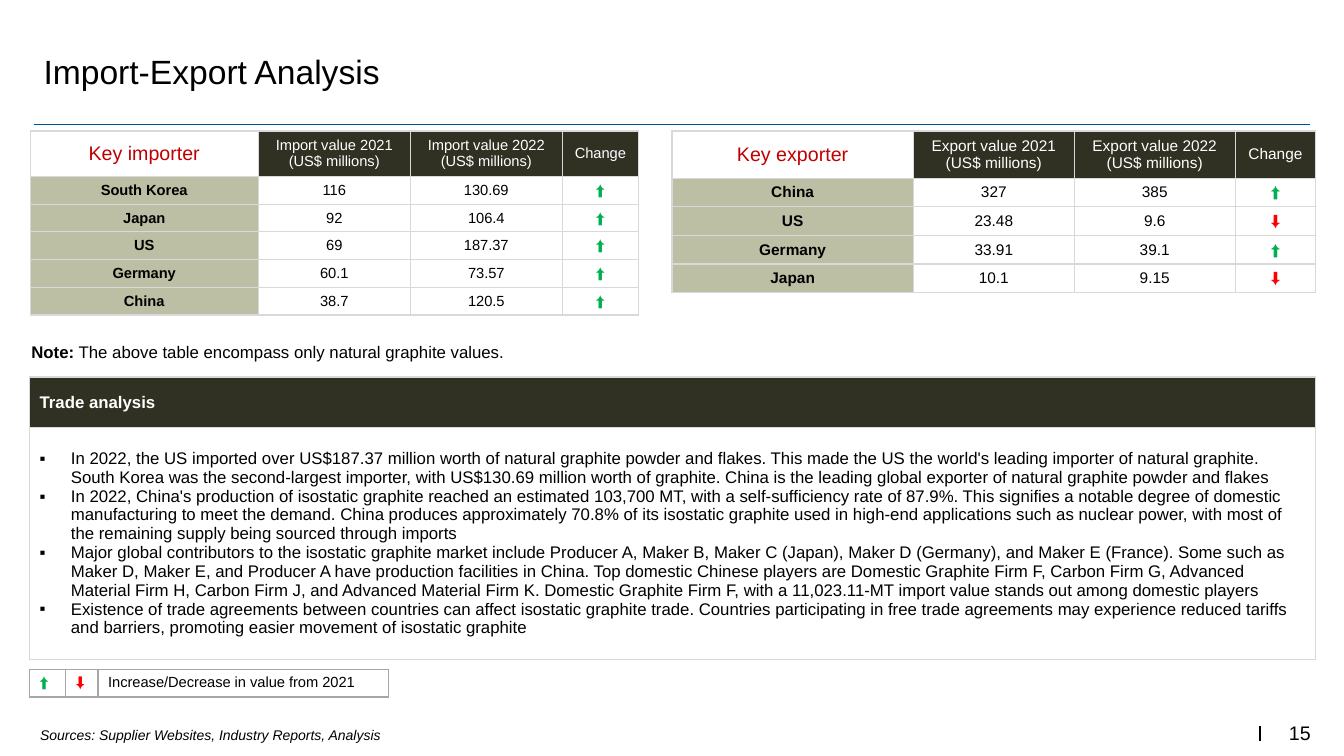
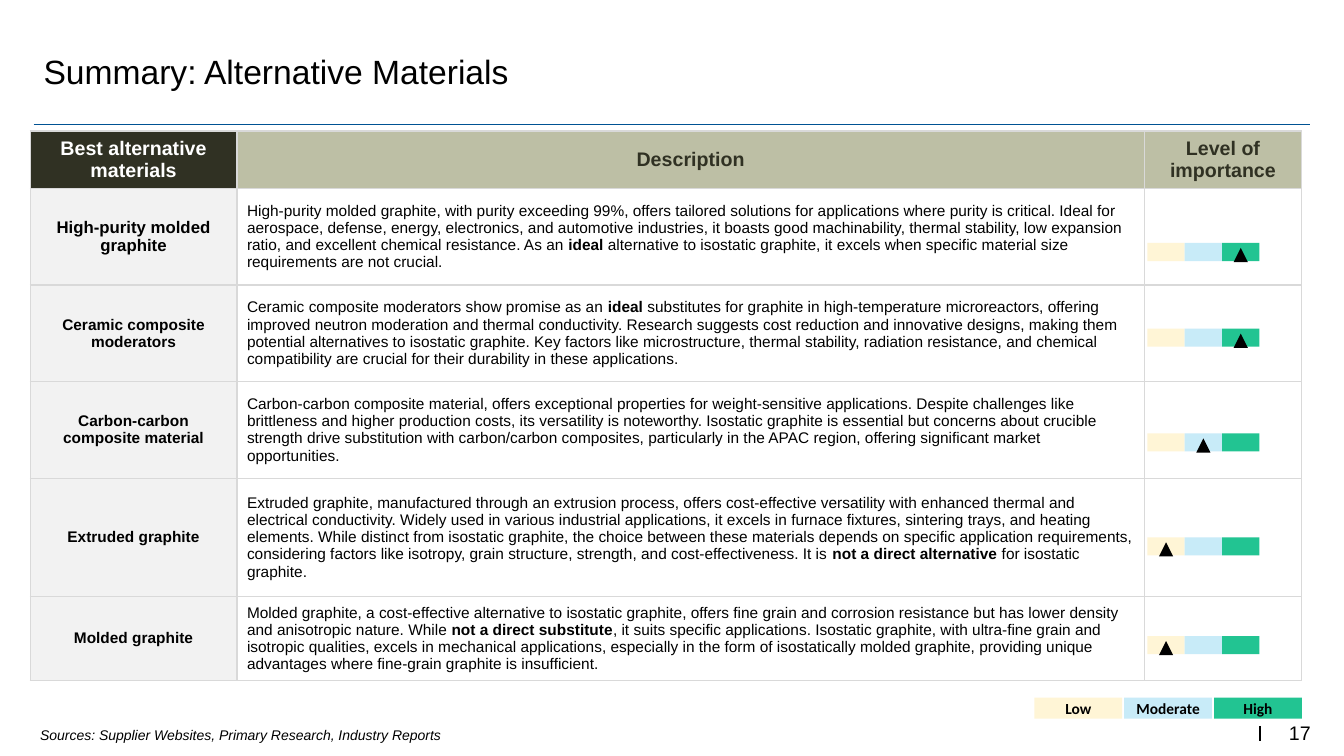
from dataclasses import dataclass, replace
from typing import Optional

from lxml import etree
from pptx import Presentation
from pptx.dml.color import RGBColor
from pptx.enum.shapes import MSO_CONNECTOR, MSO_SHAPE
from pptx.enum.text import MSO_ANCHOR, PP_ALIGN
from pptx.oxml.ns import qn
from pptx.util import Emu, Inches, Pt

LEFT, MID, RIGHT = PP_ALIGN.LEFT, PP_ALIGN.CENTER, PP_ALIGN.RIGHT
TOP, CENTER = MSO_ANCHOR.TOP, MSO_ANCHOR.MIDDLE
RECT, PEAK = MSO_SHAPE.RECTANGLE, MSO_SHAPE.ISOSCELES_TRIANGLE
STRAIGHT = MSO_CONNECTOR.STRAIGHT

BLACK = RGBColor(0x00, 0x00, 0x00)
WHITE = RGBColor(0xFF, 0xFF, 0xFF)
BLUE = RGBColor(0x00, 0x52, 0x93)
DARK = RGBColor(0x30, 0x31, 0x23)
OLIVE = RGBColor(0xBD, 0xBF, 0xA5)
PALE = RGBColor(0xF2, 0xF2, 0xF2)
CRIMSON = RGBColor(0xC0, 0x00, 0x00)
GREEN = RGBColor(0x00, 0xB0, 0x50)
RED = RGBColor(0xFF, 0x00, 0x00)
EDGE = RGBColor(0xD9, 0xD9, 0xD9)
GRAY = RGBColor(0xA6, 0xA6, 0xA6)
LEVELS = (
    ("Low", RGBColor(0xFF, 0xF5, 0xD6)),
    ("Moderate", RGBColor(0xC8, 0xEB, 0xF8)),
    ("High", RGBColor(0x22, 0xC4, 0x92)),
)
LOW, MODERATE, HIGH = range(3)

WIDE, TALL = Inches(13.33), Inches(7.5)
INDENT = Inches(0.31)
UP, DOWN = "⬆", "⬇"


@dataclass(frozen=True)
class Style:
    size: float
    color: RGBColor = BLACK
    bold: bool = False
    italic: bool = False
    align: PP_ALIGN = LEFT
    font: str = "Arial"
    bullet: str = ""


@dataclass(frozen=True)
class Box:
    """Left, top, width and height in percent of the slide."""
    x: float
    y: float
    w: float
    h: float

    def emu(self) -> tuple[Emu, Emu, Emu, Emu]:
        return across(self.x), down(self.y), across(self.w), down(self.h)


@dataclass(frozen=True)
class Cell:
    text: str
    style: Style
    fill: Optional[RGBColor] = WHITE
    anchor: MSO_ANCHOR = CENTER


@dataclass(frozen=True)
class Trade:
    """Values of one country in both years and the direction of change."""
    land: str
    old: str
    new: str
    sign: str = UP


@dataclass(frozen=True)
class Option:
    name: str
    text: str
    level: int
    top: float
    size: float = 11


def across(share: float) -> Emu:
    return Emu(round(WIDE * share / 100))


def down(share: float) -> Emu:
    return Emu(round(TALL * share / 100))


def write(frame, text: str, style: Style) -> None:
    """Fill a frame line by line; ** switches bold on and off."""
    for i, line in enumerate(text.split("\n")):
        para = frame.add_paragraph() if i else frame.paragraphs[0]
        para.alignment = style.align
        if style.bullet:
            props = para._p.get_or_add_pPr()
            props.set("marL", str(INDENT))
            props.set("indent", str(-INDENT))
            etree.SubElement(props, qn("a:buFont")).set("typeface", "Arial")
            etree.SubElement(props, qn("a:buChar")).set("char", style.bullet)
        for j, part in enumerate(line.split("**")):
            if not part:
                continue
            run = para.add_run()
            run.text = part
            font = run.font
            font.name, font.size = style.font, Pt(style.size)
            font.bold, font.italic = style.bold or j % 2 == 1, style.italic
            font.color.rgb = style.color
        if not line:
            para.font.size = Pt(style.size)


def label(slide, box: Box, text: str, style: Style, anchor: MSO_ANCHOR = TOP,
          side: float = 0.1, edge: float = 0.05) -> None:
    frame = slide.shapes.add_textbox(*box.emu()).text_frame
    frame.word_wrap = True
    frame.vertical_anchor = anchor
    frame.margin_left = frame.margin_right = Inches(side)
    frame.margin_top = frame.margin_bottom = Inches(edge)
    write(frame, text, style)


def rule(slide, start: tuple[float, float], end: tuple[float, float],
         color: RGBColor, width: float) -> None:
    line = slide.shapes.add_connector(
        STRAIGHT, across(start[0]), down(start[1]), across(end[0]), down(end[1]))
    line.line.color.rgb, line.line.width = color, Pt(width)
    etree.SubElement(line._element.spPr, qn("a:effectLst"))


def block(slide, kind: MSO_SHAPE, box: Box, color: RGBColor):
    shape = slide.shapes.add_shape(kind, *box.emu())
    shape.shadow.inherit = False
    shape.fill.solid()
    shape.fill.fore_color.rgb = color
    shape.line.fill.background()
    return shape


def border(cell, color: RGBColor) -> None:
    props = cell._tc.get_or_add_tcPr()
    for side in "LRTB":
        line = etree.SubElement(props, qn(f"a:ln{side}"), w=str(Pt(1)))
        solid = etree.SubElement(line, qn("a:solidFill"))
        etree.SubElement(solid, qn("a:srgbClr"), val=str(color))


def grid(slide, x: float, y: float, w: float, parts: tuple[float, ...],
         rows: tuple[float, ...], cells: list[list[Cell]],
         edge: RGBColor = EDGE) -> None:
    """Draw a table whose columns share its width in the given parts."""
    box = Box(x, y, w, sum(rows))
    table = slide.shapes.add_table(len(rows), len(parts), *box.emu()).table
    table.first_row = table.horz_banding = False
    for col, part in zip(table.columns, parts):
        col.width = across(w * part / sum(parts))
    for i, (height, line) in enumerate(zip(rows, cells)):
        table.rows[i].height = down(height)
        for j, item in enumerate(line):
            cell = table.cell(i, j)
            border(cell, edge)
            if item.fill is None:
                cell.fill.background()
            else:
                cell.fill.solid()
                cell.fill.fore_color.rgb = item.fill
            cell.vertical_anchor = item.anchor
            write(cell.text_frame, item.text, item.style)


def page(deck, title: str, number: int, source: str):
    slide = deck.slides.add_slide(deck.slide_layouts[6])
    rule(slide, (2.5, 16.53), (97.5, 16.53), BLUE, 0.75)
    rule(slide, (93.75, 96), (93.75, 98), BLACK, 1)
    label(slide, Box(2.5, 2.67, 95, 13.33), title, Style(24), CENTER)
    label(slide, Box(92.42, 94.93, 5.1, 3.87), str(number),
          Style(14, align=RIGHT), CENTER, 0, 0.07)
    label(slide, Box(2.25, 95.47, 34.1, 3.6), f"Sources: {source}",
          Style(10, italic=True))
    return slide


def flows(slide, kind: str, x: float, w: float, size: float,
          head: float, row: float, trades: tuple[Trade, ...]) -> None:
    """Draw the table of import or export values."""
    body = Style(size, align=MID)
    top = replace(body, color=WHITE)
    cells = [[Cell(f"Key {kind.lower()}er", Style(14, CRIMSON, align=MID))]
             + [Cell(f"{kind} value {year} (US$ millions)", top, DARK)
                for year in (2021, 2022)] + [Cell("Change", top, DARK)]]
    for trade in trades:
        color = GREEN if trade.sign == UP else RED
        cells.append([
            Cell(trade.land, replace(body, bold=True), OLIVE),
            Cell(trade.old, body), Cell(trade.new, body),
            Cell(trade.sign, replace(body, color=color))])
    grid(slide, x, 17.33, w, (3, 2, 2, 1),
         (head,) + (row,) * len(trades), cells)


def meter(slide, y: float, level: int) -> None:
    x, w = 85.37, 2.78
    for i, (_, color) in enumerate(LEVELS):
        block(slide, RECT, Box(x + i * w, y, w, 2.4), color)
    size = 1.05
    left = x + (level + 0.5) * w - size / 2
    block(slide, PEAK, Box(left, y + 0.67, size, 1.87), BLACK)


IMPORTS = (
    Trade("South Korea", "116", "130.69"),
    Trade("Japan", "92", "106.4"),
    Trade("US", "69", "187.37"),
    Trade("Germany", "60.1", "73.57"),
    Trade("China", "38.7", "120.5"),
)
EXPORTS = (
    Trade("China", "327", "385"),
    Trade("US", "23.48", "9.6", DOWN),
    Trade("Germany", "33.91", "39.1"),
    Trade("Japan", "10.1", "9.15", DOWN),
)
POINTS = (
    "In 2022, the US imported over US$187.37 million worth of natural graphite powder and flakes. This made the US the world's leading importer of natural graphite. South Korea was the second-largest importer, with US$130.69 million worth of graphite. China is the leading global exporter of natural graphite powder and flakes",
    "In 2022, China's production of isostatic graphite reached an estimated 103,700 MT, with a self-sufficiency rate of 87.9%. This signifies a notable degree of domestic manufacturing to meet the demand. China produces approximately 70.8% of its isostatic graphite used in high-end applications such as nuclear power, with most of the remaining supply being sourced through imports",
    "Major global contributors to the isostatic graphite market include Producer A, Maker B, Maker C (Japan), Maker D (Germany), and Maker E (France). Some such as Maker D, Maker E, and Producer A have production facilities in China. Top domestic Chinese players are Domestic Graphite Firm F, Carbon Firm G, Advanced Material Firm H, Carbon Firm J, and Advanced Material Firm K. Domestic Graphite Firm F, with a 11,023.11-MT import value stands out among domestic players",
    "Existence of trade agreements between countries can affect isostatic graphite trade. Countries participating in free trade agreements may experience reduced tariffs and barriers, promoting easier movement of isostatic graphite",
)
OPTIONS = (
    Option("High-purity molded graphite", "High-purity molded graphite, with purity exceeding 99%, offers tailored solutions for applications where purity is critical. Ideal for aerospace, defense, energy, electronics, and automotive industries, it boasts good machinability, thermal stability, low expansion ratio, and excellent chemical resistance. As an **ideal** alternative to isostatic graphite, it excels when specific material size requirements are not crucial.", HIGH, 32.13, 12),
    Option("Ceramic composite moderators", "Ceramic composite moderators show promise as an **ideal** substitutes for graphite in high-temperature microreactors, offering improved neutron moderation and thermal conductivity. Research suggests cost reduction and innovative designs, making them potential alternatives to isostatic graphite. Key factors like microstructure, thermal stability, radiation resistance, and chemical compatibility are crucial for their durability in these applications.", HIGH, 43.47),
    Option("Carbon-carbon composite material", "Carbon-carbon composite material, offers exceptional properties for weight-sensitive applications. Despite challenges like brittleness and higher production costs, its versatility is noteworthy. Isostatic graphite is essential but concerns about crucible strength drive substitution with carbon/carbon composites, particularly in the APAC region, offering significant market opportunities.", MODERATE, 57.33),
    Option("Extruded graphite", "Extruded graphite, manufactured through an extrusion process, offers cost-effective versatility with enhanced thermal and electrical conductivity. Widely used in various industrial applications, it excels in furnace fixtures, sintering trays, and heating elements. While distinct from isostatic graphite, the choice between these materials depends on specific application requirements, considering factors like isotropy, grain structure, strength, and cost-effectiveness. It is **not a direct alternative **for isostatic graphite.", LOW, 71.07),
    Option("Molded graphite", "Molded graphite, a cost-effective alternative to isostatic graphite, offers fine grain and corrosion resistance but has lower density and anisotropic nature. While **not a direct substitute**, it suits specific applications. Isostatic graphite, with ultra-fine grain and isotropic qualities, excels in mechanical applications, especially in the form of isostatically molded graphite, providing unique advantages where fine-grain graphite is insufficient.", LOW, 84.13),
)


def trade(deck) -> None:
    slide = page(deck, "Import-Export Analysis", 15,
                 "Supplier Websites, Industry Reports, Analysis")
    flows(slide, "Import", 2.25, 45.25, 10.5, 5.6, 3.47, IMPORTS)
    flows(slide, "Export", 50, 47.9, 11, 5.87, 3.6, EXPORTS)
    label(slide, Box(1.6, 44.53, 38, 4), "**Note:** The above table encompass "
          "only natural graphite values.", Style(12))
    grid(slide, 2.2, 49.87, 95.7, (1,), (6.67, 30.67), [
        [Cell("Trade analysis", Style(12, WHITE, True), DARK)],
        [Cell("\n".join(POINTS), Style(12, bullet="▪"))]])
    grid(slide, 2.2, 88.53, 26.7, (9, 8, 72), (3.5,), [[
        Cell(UP, Style(10.5, GREEN), None, TOP),
        Cell(DOWN, Style(10.5, RED, True), None, TOP),
        Cell("Increase/Decrease in value from 2021", Style(10.5), None, TOP),
    ]], GRAY)


def summary(deck) -> None:
    slide = page(deck, "Summary: Alternative Materials", 17,
                 "Supplier Websites, Primary Research, Industry Reports")
    head = Style(14, DARK, True, align=MID)
    cells = [[Cell("Best alternative materials", replace(head, color=WHITE), DARK),
              Cell("Description", head, OLIVE),
              Cell("Level of importance", head, OLIVE)]]
    for item in OPTIONS:
        name = Style(item.size, bold=True, align=MID)
        cells.append([Cell(item.name, name, PALE),
                      Cell(item.text, Style(11)), Cell("", Style(11))])
    grid(slide, 2.25, 17.33, 94.6, (2.05, 9, 1.56),
         (7.33, 12.8, 12.8, 12.8, 15.6, 10.67), cells)
    for item in OPTIONS:
        meter(slide, item.top, item.level)
    for i, (name, color) in enumerate(LEVELS):
        chip = block(slide, RECT, Box(76.97 + i * 6.68, 92.27, 6.53, 2.8), color)
        frame = chip.text_frame
        frame.vertical_anchor = CENTER
        frame.margin_top = frame.margin_bottom = 0
        write(frame, name, Style(11, bold=True, align=MID, font="Calibri"))


def main() -> None:
    deck = Presentation()
    deck.slide_width, deck.slide_height = WIDE, TALL
    trade(deck)
    summary(deck)
    deck.save("out.pptx")


if __name__ == "__main__":
    main()
